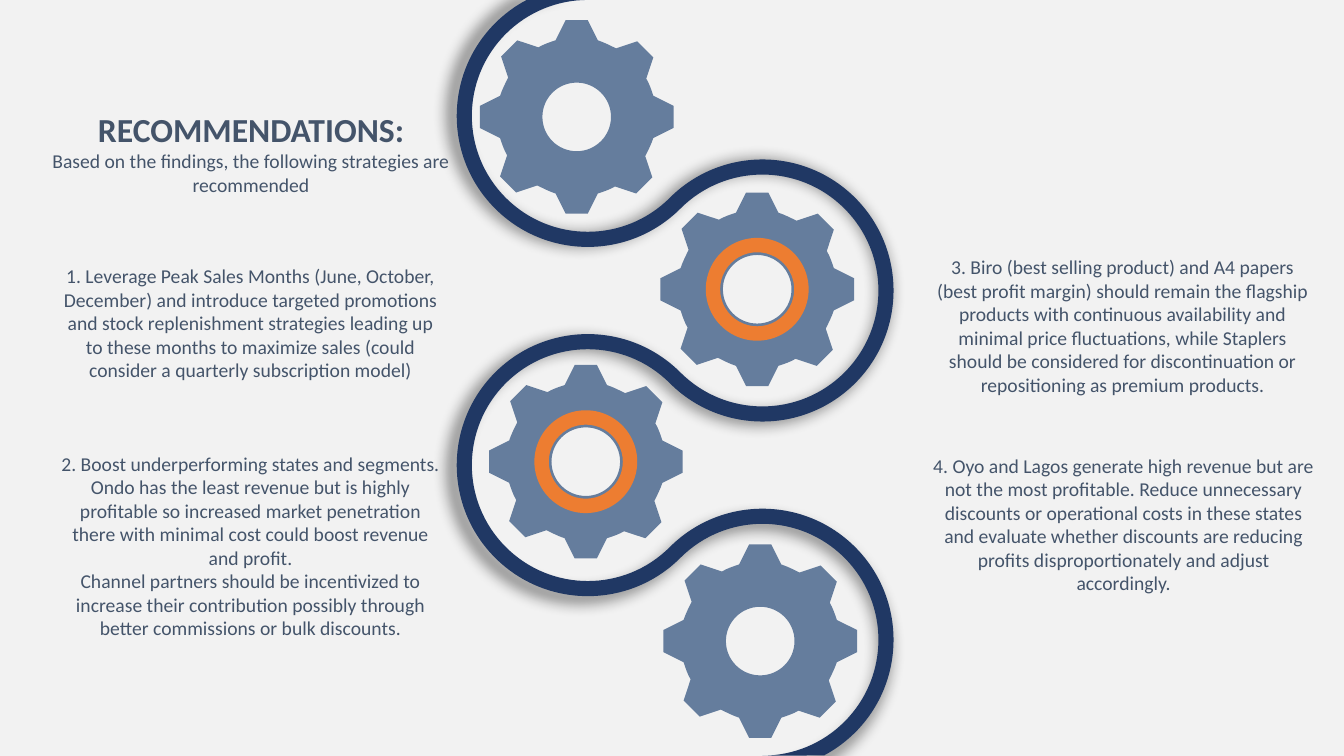
from math import cos, radians, sin, sqrt, tan

from lxml import etree
from pptx import Presentation
from pptx.dml.color import RGBColor
from pptx.enum import shapes, text
from pptx.oxml import ns
from pptx.util import Inches, Pt

BACKGROUND = RGBColor(0xF2, 0xF2, 0xF2)
NAVY = RGBColor(0x20, 0x38, 0x64)
STEEL = RGBColor(0x65, 0x7D, 0x9D)
ORANGE = RGBColor(0xED, 0x7D, 0x31)
SLATE = RGBColor(0x44, 0x54, 0x6A)

WIDTH, HEIGHT = 13.33, 7.5
FONT = "Calibri"

RIBBON_LEFT, RIBBON_TOP, RIBBON_TILT = 5.83, 1.15, 45
RIBBON_OUTER, RIBBON_INNER = 1.3, 1.15
RIBBON_STEP = (RIBBON_OUTER + RIBBON_INNER) / sqrt(2)

GEAR_RADIUS, GEAR_HOLE, RING_RADIUS = 0.96, 0.34, 0.51
GEAR_TIP = [(-0.11, -0.96), (0.11, -0.96), (0.21, -0.76)]
GEAR_VALLEY = [(0.27, -0.74), (0.33, -0.71), (0.39, -0.68)]
GEAR_SIDE = [(0.6, -0.75), (0.76, -0.59), (0.69, -0.38)]
GEAR_RETURN = [(0.72, -0.33), (0.74, -0.27), (0.76, -0.21)]

HEADING = "RECOMMENDATIONS:"
INTRO = "Based on the findings, the following strategies are recommended"
ADVICE = [
    ((0.49, 2.57, 3.99, 1.28), [
        "1. Leverage Peak Sales Months (June, October, December) and introduce "
        "targeted promotions and stock replenishment strategies leading up to "
        "these months to maximize sales (could consider a quarterly "
        "subscription model)"]),
    ((0.49, 4.43, 3.99, 1.99), [
        "2. Boost underperforming states and segments. Ondo has the least "
        "revenue but is highly profitable so increased market penetration "
        "there with minimal cost could boost revenue and profit.",
        "Channel partners should be incentivized to increase their "
        "contribution possibly through better commissions or bulk discounts."]),
    ((9.14, 2.48, 3.99, 1.51), [
        "3. Biro (best selling product) and A4 papers (best profit margin) "
        "should remain the flagship products with continuous availability and "
        "minimal price fluctuations, while Staplers should be considered for "
        "discontinuation or repositioning as premium products."]),
    ((9.15, 4.45, 3.99, 1.51), [
        "4. Oyo and Lagos generate high revenue but are not the most "
        "profitable. Reduce unnecessary discounts or operational costs in "
        "these states and evaluate whether discounts are reducing profits "
        "disproportionately and adjust accordingly."]),
]


def turn(point, degrees):
    x, y = point
    c, s = cos(radians(degrees)), sin(radians(degrees))
    return x * c - y * s, x * s + y * c


def arc(center, radius, stops):
    curves = []
    for start, end in zip(stops, stops[1:]):
        reach = 4 / 3 * tan(radians(end - start) / 4)
        corners = [turn((1, 0), start), turn((1, reach), start),
                   turn((1, -reach), end), turn((1, 0), end)]
        curves.append([(center[0] + radius * x, center[1] + radius * y)
                       for x, y in corners])
    return curves


def paint(shape, color):
    shape.shadow.inherit = False
    shape.fill.solid()
    shape.fill.fore_color.rgb = color
    shape.line.fill.background()


def add_outline(page, contours, color):
    builder, lengths = None, []
    for start, *pieces in contours:
        if builder is None:
            builder = page.shapes.build_freeform(*map(Inches, start))
        else:
            builder.move_to(*map(Inches, start))
        for piece in pieces:
            lengths.append(len(piece))
            builder.add_line_segments([tuple(map(Inches, p)) for p in piece], close=False)
        builder.add_line_segments([], close=True)
    shape = builder.convert_to_shape()
    segments = iter(list(shape._element.iter(ns.qn("a:lnTo"))))
    for length in lengths:
        first = next(segments)
        if length == 3:
            first.tag_name = None
            curve = etree.Element(ns.qn("a:cubicBezTo"))
            first.addprevious(curve)
            for segment in [first, next(segments), next(segments)]:
                curve.append(segment[0])
                segment.getparent().remove(segment)
    paint(shape, color)
    return shape


def add_center_shadow(shape):
    effects = shape._element.spPr.find(ns.qn("a:effectLst"))
    shadow = etree.SubElement(effects, ns.qn("a:outerShdw"), blurRad=str(Pt(10)),
                              sx="102000", sy="102000", algn="ctr", rotWithShape="0")
    black = etree.SubElement(shadow, ns.qn("a:srgbClr"), val="000000")
    etree.SubElement(black, ns.qn("a:alpha"), val="40000")


def ribbon_edge(left, top, first, second):
    start = 242 if first > second else 270
    end = 450 if first > second else 422
    sweeps = [(start, 225, 135, 45), (225, 315, 405, 495),
              (315, 225, 135, 45), (225, 315, 405, end)]
    curves = []
    for i, stops in enumerate(sweeps):
        center = left + i % 2 * RIBBON_STEP, top + i * RIBBON_STEP
        curves += arc(center, second if i % 2 else first, stops)
    return [[turn(p, -RIBBON_TILT) for p in curve] for curve in curves]


def add_ribbon(page, left, top):
    edge = ribbon_edge(left, top, RIBBON_OUTER, RIBBON_INNER)
    back = [curve[::-1] for curve in
            ribbon_edge(left, top, RIBBON_INNER, RIBBON_OUTER)[::-1]]
    pieces = [c[1:] for c in edge] + [[back[0][0]]] + [c[1:] for c in back]
    ribbon = add_outline(page, [[edge[0][0]] + pieces], NAVY)
    middle = ribbon.left + ribbon.width / 2, ribbon.top + ribbon.height / 2
    x, y = turn(middle, RIBBON_TILT)
    ribbon.left, ribbon.top = int(x - ribbon.width / 2), int(y - ribbon.height / 2)
    ribbon.rotation = RIBBON_TILT
    add_center_shadow(ribbon)


def add_gear(page, left, top):
    center = left + GEAR_RADIUS, top + GEAR_RADIUS
    pieces = []
    for angle in range(0, 360, 90):
        quarter = [[p] for p in GEAR_TIP] + [GEAR_VALLEY]
        quarter += [[p] for p in GEAR_SIDE] + [GEAR_RETURN]
        for piece in quarter:
            turned = [turn(p, angle) for p in piece]
            pieces.append([(center[0] + x, center[1] + y) for x, y in turned])
    hole = arc(center, GEAR_HOLE, (360, 270, 180, 90, 0))
    add_outline(page, [[pieces[0][0]] + pieces[1:],
                       [hole[0][0]] + [c[1:] for c in hole]], STEEL)


def add_ring(page, left, top):
    inset = GEAR_RADIUS - RING_RADIUS
    box = left + inset, top + inset, 2 * RING_RADIUS, 2 * RING_RADIUS
    ring = page.shapes.add_shape(shapes.MSO_SHAPE.DONUT, *map(Inches, box))
    ring.adjustments[0] = 0.14
    paint(ring, ORANGE)


def add_text(page, box, lines):
    frame = page.shapes.add_textbox(*map(Inches, box)).text_frame
    frame.word_wrap = True
    frame.auto_size = text.MSO_AUTO_SIZE.SHAPE_TO_FIT_TEXT
    for i, (line, size, bold) in enumerate(lines):
        para = frame.paragraphs[0] if i == 0 else frame.add_paragraph()
        para.text = line
        para.alignment = text.PP_ALIGN.CENTER
        para.font.name = FONT
        para.font.size = Pt(size)
        para.font.bold = bold
        para.font.color.rgb = SLATE


def add_recommendations(deck):
    page = deck.slides.add_slide(deck.slide_layouts[6])
    page.background.fill.solid()
    page.background.fill.fore_color.rgb = BACKGROUND
    add_ribbon(page, RIBBON_LEFT, RIBBON_TOP)
    ringed = [(4.85, 3.62), (6.55, 1.91)]
    for spot in ringed + [(4.76, 0.2), (6.58, 5.4)]:
        add_gear(page, *spot)
    for spot in ringed:
        add_ring(page, *spot)
    add_text(page, (0.41, 1.03, 4.16, 0.98), [(HEADING, 24, True), (INTRO, 14, False)])
    for box, lines in ADVICE:
        add_text(page, box, [(line, 14, False) for line in lines])


def main():
    deck = Presentation()
    deck.slide_width, deck.slide_height = Inches(WIDTH), Inches(HEIGHT)
    add_recommendations(deck)
    deck.save("out.pptx")


if __name__ == "__main__":
    main()
